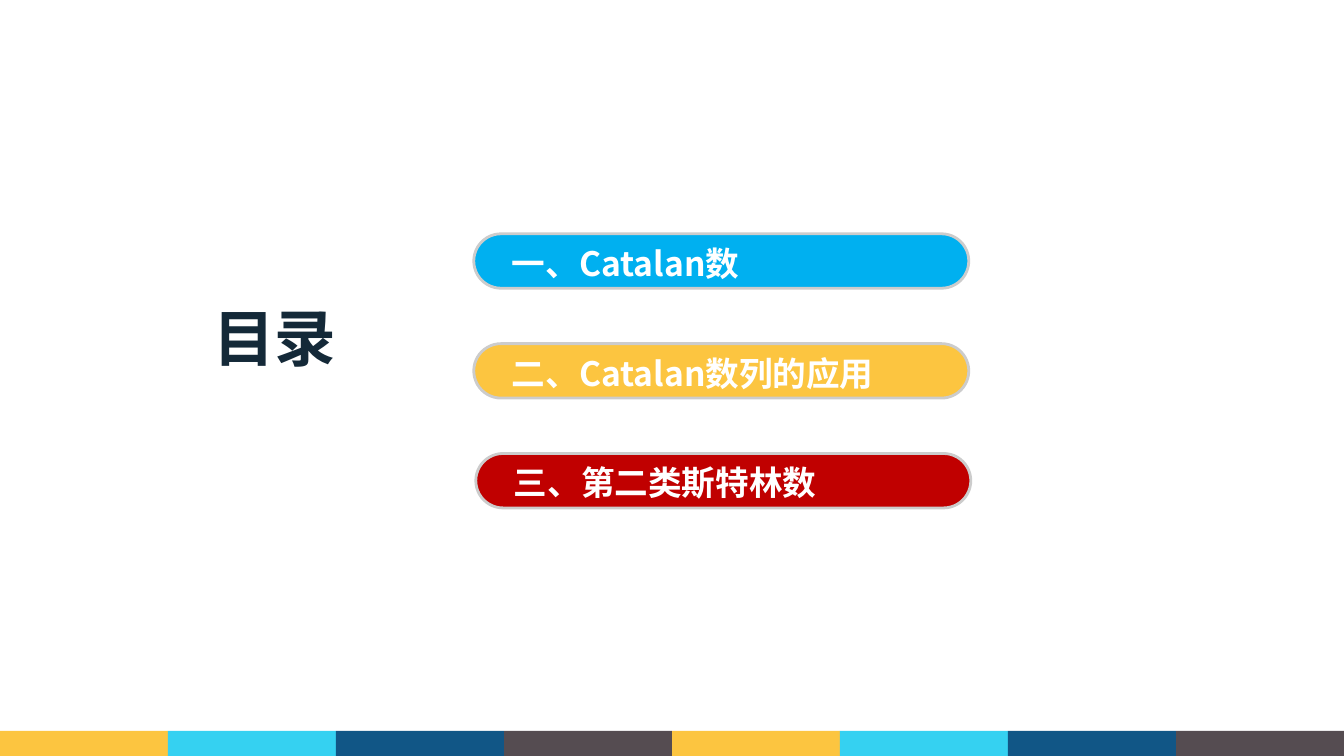
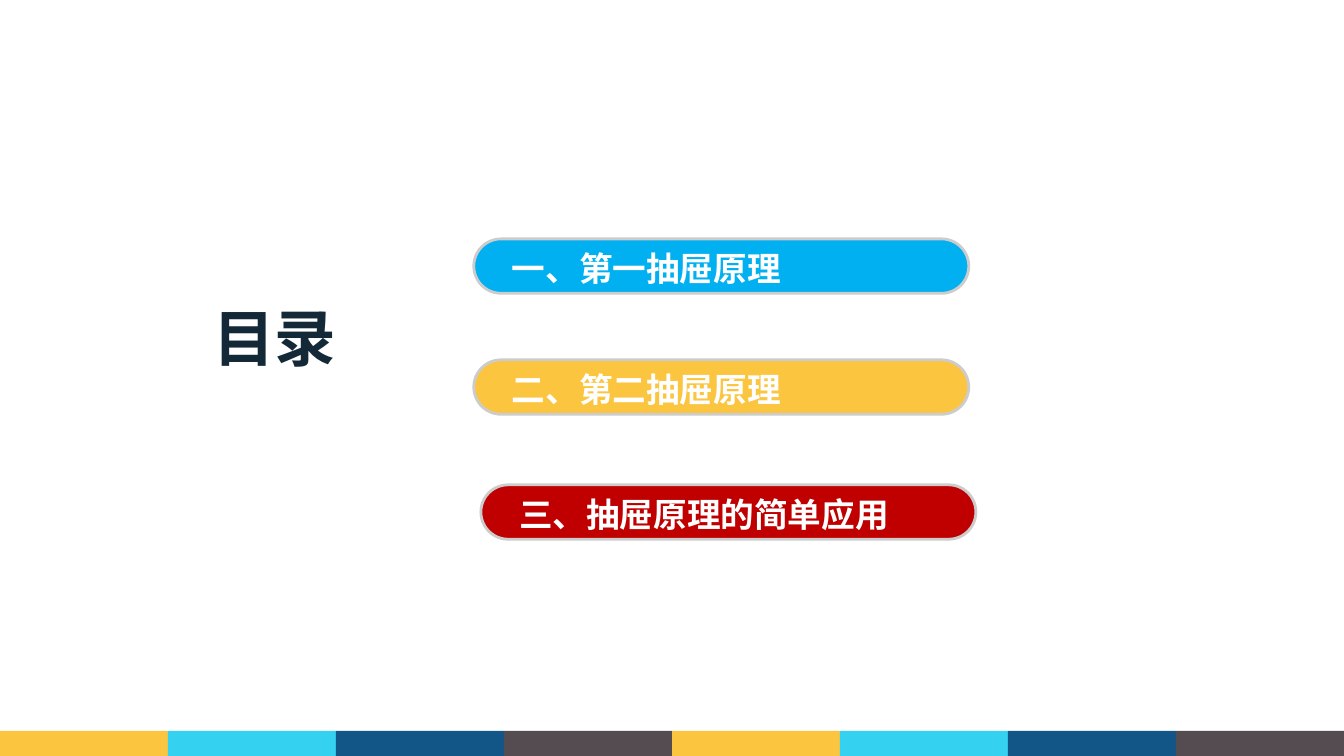
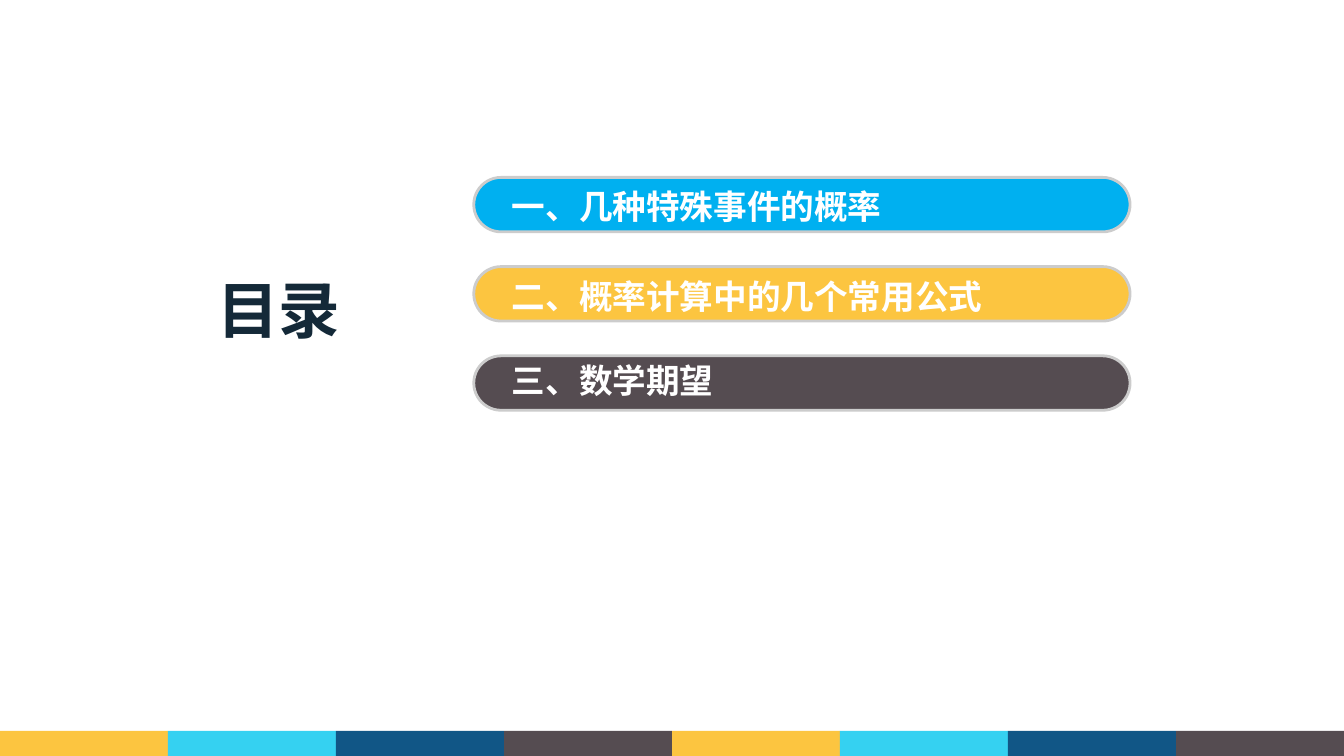
from dataclasses import dataclass

from pptx import Presentation
from pptx.dml.color import RGBColor
from pptx.enum.shapes import MSO_SHAPE
from pptx.enum.text import MSO_ANCHOR, PP_ALIGN
from pptx.util import Inches, Pt

SLIDE_WIDTH = Inches(13.333)
SLIDE_HEIGHT = Inches(7.5)
FONT = "Noto Sans CJK SC"

WHITE = "FFFFFF"
NAVY = "142938"
BLUE = "00B0F0"
YELLOW = "FCC540"
RED = "C00000"
GRAY = "554C51"
OUTLINE = "CCCCCC"
FOOTER_COLORS = (YELLOW, "35D1F1", "115686", GRAY) * 2

BAR_LEFT = 35.25
BAR_HEIGHT = 7.2
LABEL_INSET = 2.1
LABEL_HEIGHT = 6.67
FOOTER_HEIGHT = 3.33


@dataclass(frozen=True)
class Box:
    """A rectangle in percent of the slide's width and height."""

    left: float
    top: float
    width: float
    height: float

    def lengths(self) -> tuple[int, int, int, int]:
        """Return left, top, width and height as slide lengths."""
        return (
            round(SLIDE_WIDTH * self.left / 100),
            round(SLIDE_HEIGHT * self.top / 100),
            round(SLIDE_WIDTH * self.width / 100),
            round(SLIDE_HEIGHT * self.height / 100),
        )


@dataclass(frozen=True)
class Entry:
    """One line of the agenda, with its offsets from the regular grid."""

    text: str
    color: str
    label_width: float = 32.55
    label_drop: float = 0.5
    shift_right: float = 0
    shift_down: float = 0


@dataclass(frozen=True)
class Agenda:
    """One agenda page."""

    entries: tuple[Entry, ...]
    first_top: float
    pitch: float
    bar_width: float = 36.83
    title_left: float = 14.93
    title_top: float = 38.93


AGENDAS = (
    Agenda(
        (
            Entry("一、Catalan数", BLUE),
            Entry("二、Catalan数列的应用", YELLOW),
            Entry("三、第二类斯特林数", RED, shift_right=0.15),
        ),
        first_top=30.93,
        pitch=14.53,
    ),
    Agenda(
        (
            Entry("一、第一抽屉原理", BLUE),
            Entry("二、第二抽屉原理", YELLOW),
            Entry("三、抽屉原理的简单应用", RED, shift_right=0.53, shift_down=0.53),
        ),
        first_top=31.6,
        pitch=16,
    ),
    Agenda(
        (
            Entry("一、几种特殊事件的概率", BLUE, label_width=46.73),
            Entry("二、概率计算中的几个常用公式", YELLOW, label_width=46.73),
            Entry("三、数学期望", GRAY, label_width=42.38, label_drop=-0.13),
        ),
        first_top=23.47,
        pitch=11.8,
        bar_width=48.83,
        title_left=15.23,
        title_top=35.2,
    ),
)


def rgb(color: str) -> RGBColor:
    """Turn a hex string into a colour."""
    return RGBColor.from_string(color)


def add_block(shapes, kind: MSO_SHAPE, box: Box, color: str):
    """Draw a filled shape without outline or shadow."""
    block = shapes.add_shape(kind, *box.lengths())
    block.shadow.inherit = False
    block.fill.solid()
    block.fill.fore_color.rgb = rgb(color)
    block.line.fill.background()
    return block


def add_text(page, box: Box, text: str, size: int, color: str,
             align: PP_ALIGN = PP_ALIGN.LEFT) -> None:
    """Write one bold line, centred vertically in its box."""
    frame = page.shapes.add_textbox(*box.lengths()).text_frame
    frame.word_wrap = True
    frame.vertical_anchor = MSO_ANCHOR.MIDDLE
    frame.text = text
    para = frame.paragraphs[0]
    para.alignment = align
    for span in para.runs:
        span.font.name = FONT
        span.font.size = Pt(size)
        span.font.bold = True
        span.font.color.rgb = rgb(color)
        properties = span.font._element
        east_asian = properties.makeelement(
            properties.tag.replace("rPr", "ea"), {"typeface": FONT}
        )
        properties.find(properties.tag.replace("rPr", "latin")).addnext(east_asian)


def add_entry(page, agenda: Agenda, index: int, entry: Entry) -> None:
    """Draw one rounded bar with its label."""
    left = BAR_LEFT + entry.shift_right
    top = agenda.first_top + index * agenda.pitch + entry.shift_down
    bar_box = Box(left, top, agenda.bar_width, BAR_HEIGHT)
    bar = add_block(page.shapes, MSO_SHAPE.ROUNDED_RECTANGLE, bar_box, entry.color)
    bar.adjustments[0] = 0.5
    bar.line.color.rgb = rgb(OUTLINE)
    bar.line.width = Pt(2)
    label_box = Box(left + LABEL_INSET, top + entry.label_drop,
                    entry.label_width, LABEL_HEIGHT)
    add_text(page, label_box, entry.text, 24, WHITE)


def add_footer(page) -> None:
    """Draw the grouped colour band along the bottom edge."""
    band = page.shapes.add_group_shape()
    width = 100 / len(FOOTER_COLORS)
    for index, color in enumerate(FOOTER_COLORS):
        box = Box(index * width, 100 - FOOTER_HEIGHT, width, FOOTER_HEIGHT)
        add_block(band.shapes, MSO_SHAPE.RECTANGLE, box, color)


def add_agenda(deck, agenda: Agenda) -> None:
    """Add one agenda page to the deck."""
    page = deck.slides.add_slide(deck.slide_layouts[6])
    for index, entry in enumerate(agenda.entries):
        add_entry(page, agenda, index, entry)
    title_box = Box(agenda.title_left, agenda.title_top, 11.03, 11.2)
    add_text(page, title_box, "目录", 44, NAVY, PP_ALIGN.CENTER)
    add_footer(page)


def main() -> None:
    """Build and save the deck."""
    deck = Presentation()
    deck.slide_width = SLIDE_WIDTH
    deck.slide_height = SLIDE_HEIGHT
    for agenda in AGENDAS:
        add_agenda(deck, agenda)
    deck.save("out.pptx")


if __name__ == "__main__":
    main()
